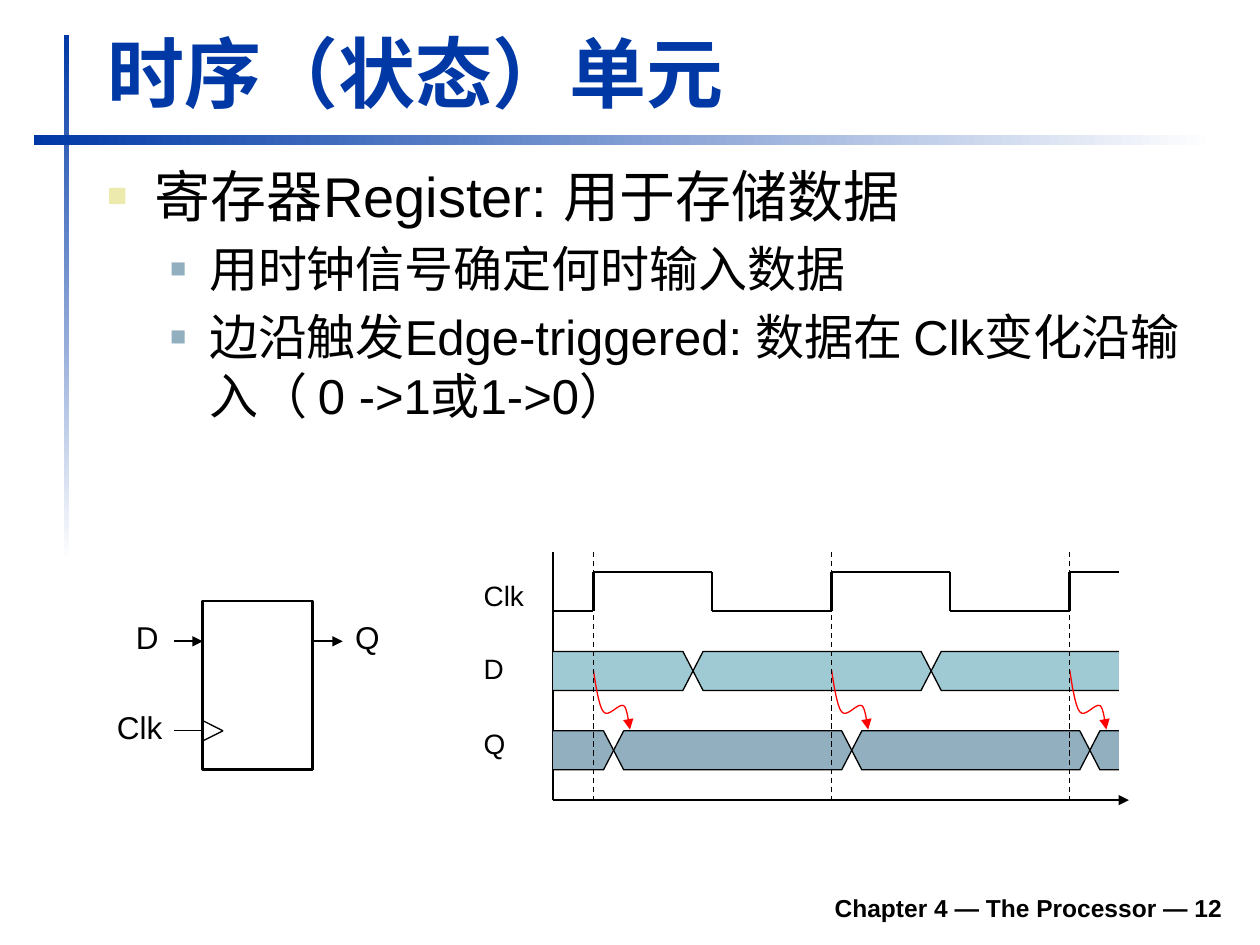
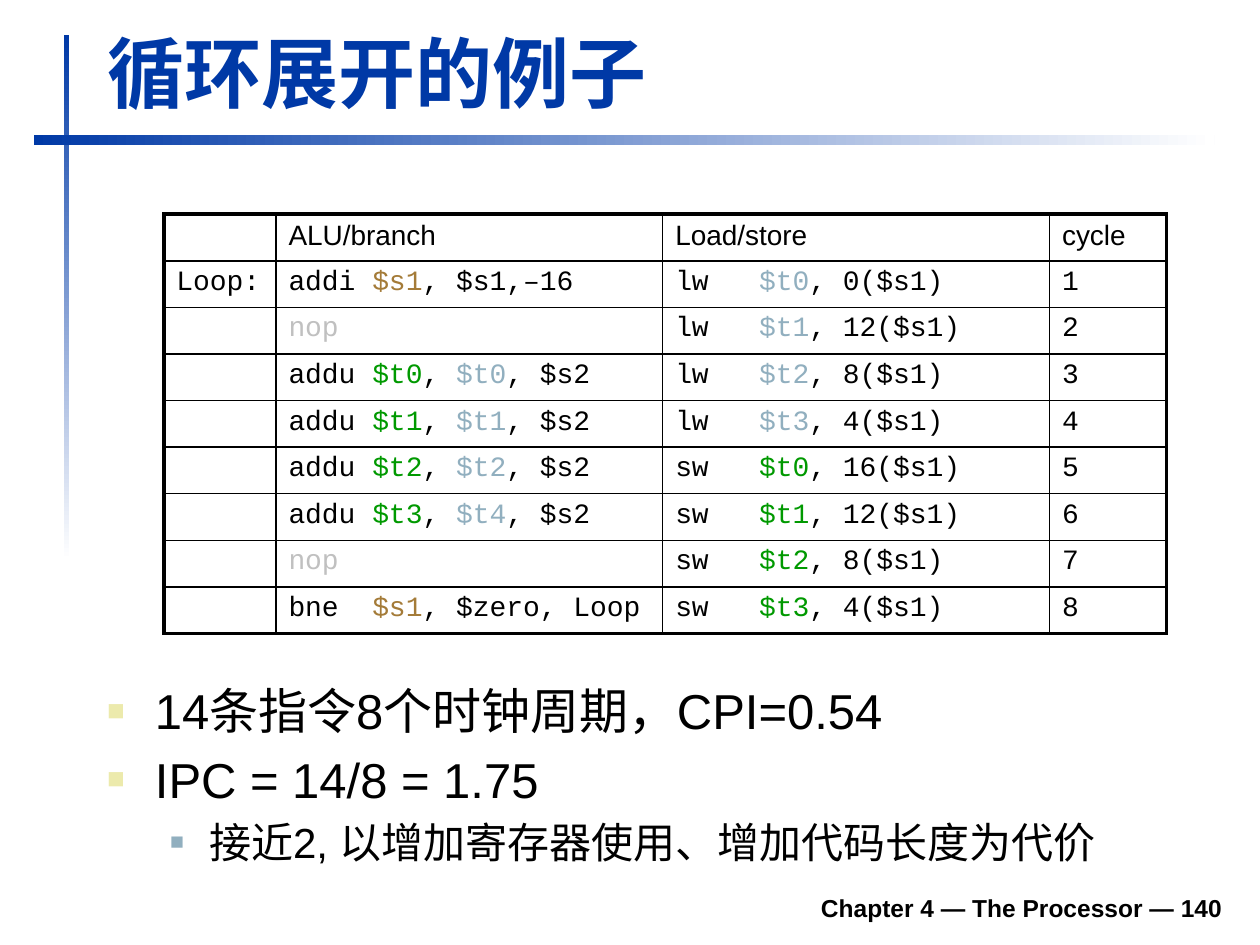
import itertools

import pptx
import pptx.dml.color
import pptx.enum.dml
import pptx.enum.shapes
import pptx.enum.text
import pptx.oxml.ns
import pptx.util
from lxml import etree

Inches = pptx.util.Inches
Pt = pptx.util.Pt
SHAPE = pptx.enum.shapes.MSO_SHAPE
ALIGN = pptx.enum.text.PP_ALIGN
ANCHOR = pptx.enum.text.MSO_ANCHOR

BLUE, WHITE, BLACK = "0039A6", "FFFFFF", "000000"
CREAM, STEEL, AQUA = "ECEAAC", "91AFBF", "9FCAD3"
GREEN, BROWN, GRAY, RED = "009900", "A47B38", "C0C0C0", "FF0000"
SANS, MONO = "Arial", "Courier New"

# Bullet level: left margin, hanging indent, colour, size in percent
LEVELS = [(0.38, 0.38, CREAM, 60), (0.81, 0.31, STEEL, 55)]

# Timing chart: axis ends, clock edges and levels
LEFT, RIGHT, TOP, BASE = 4.39, 8.88, 4.38, 6.35
RISES = [4.71, 6.6, 8.49]
HALF = 0.94
HIGH, LOW = 4.54, 4.85
DEPTH, SLANT = 0.31, 0.08


def rgb(code):
    return pptx.dml.color.RGBColor.from_string(code)


def sub(parent, tag, **attrs):
    """Append a DrawingML child element."""
    item = etree.SubElement(parent, pptx.oxml.ns.qn("a:" + tag))
    for name, value in attrs.items():
        item.set(name, str(value))
    return item


def write(para, text, size=16, color=BLACK, font=SANS, bold=False, align=None):
    """Add a string, or a list of (string, colour) runs, to a paragraph."""
    runs = [(text, color)] if isinstance(text, str) else text
    for words, tint in runs:
        run = para.add_run()
        run.text = words
        run.font.size = Pt(size)
        run.font.name = font
        run.font.bold = bold
        run.font.color.rgb = rgb(tint)
    if align is not None:
        para.alignment = align


def place(shape, x, y, w, h):
    shape.left, shape.top = Inches(x), Inches(y)
    shape.width, shape.height = Inches(w), Inches(h)


def label(shapes, text, x, y, w, h, wrap=False, anchor=ANCHOR.TOP, **style):
    box = shapes.add_textbox(Inches(x), Inches(y), Inches(w), Inches(h))
    frame = box.text_frame
    frame.word_wrap = wrap
    frame.vertical_anchor = anchor
    write(frame.paragraphs[0], text, **style)


def rect(shapes, x, y, w, h):
    box = shapes.add_shape(SHAPE.RECTANGLE, Inches(x), Inches(y), Inches(w), Inches(h))
    box.shadow.inherit = False
    return box


def band(shapes, x, y, w, h, angle):
    bar = rect(shapes, x, y, w, h)
    bar.line.fill.background()
    bar.fill.gradient()
    bar.fill.gradient_angle = angle
    for stop, code in zip(bar.fill.gradient_stops, (BLUE, WHITE)):
        stop.color.rgb = rgb(code)


def stroke(shape, color=BLACK, width=0.75, dash=False, arrow=False):
    line = shape.line
    line.color.rgb = rgb(color)
    line.width = Pt(width)
    if dash:
        line.dash_style = pptx.enum.dml.MSO_LINE.DASH
    if arrow:
        sub(line._get_or_add_ln(), "tailEnd", type="triangle")


def link(shapes, start, end, **style):
    x1, y1, x2, y2 = map(Inches, (*start, *end))
    kind = pptx.enum.shapes.MSO_CONNECTOR.STRAIGHT
    line = shapes.add_connector(kind, x1, y1, x2, y2)
    stroke(line, **style)
    sub(line._element.spPr, "effectLst")


def outline(shapes, points, fill=None, close=False, **style):
    dots = [(Inches(x), Inches(y)) for x, y in points]
    pen = shapes.build_freeform(*dots[0])
    pen.add_line_segments(dots[1:], close=close)
    form = pen.convert_to_shape()
    form.shadow.inherit = False
    if fill:
        form.fill.solid()
        form.fill.fore_color.rgb = rgb(fill)
    else:
        form.fill.background()
    stroke(form, **style)


def bullet(para, level):
    margin, hang, color, size = LEVELS[level]
    para.level = level
    props = para._p.get_or_add_pPr()
    props.set("marL", str(Inches(margin)))
    props.set("indent", str(-Inches(hang)))
    sub(sub(props, "buClr"), "srgbClr", val=color)
    sub(props, "buSzPct", val=size * 1000)
    sub(props, "buFont", typeface=SANS)
    sub(props, "buChar", char="■")


def fit(holder, *area):
    """Place a placeholder and return its text frame with fixed size."""
    place(holder, *area)
    frame = holder.text_frame
    frame.word_wrap = True
    frame.auto_size = pptx.enum.text.MSO_AUTO_SIZE.NONE
    return frame


def page(deck, title, number, items, top, height):
    """Add a slide with bands, footer, title and (level, size, text) items."""
    slide = deck.slides.add_slide(deck.slide_layouts[1])
    shapes = slide.shapes
    band(shapes, 0.51, 0.28, 0.04, 4.17, 270)
    band(shapes, 0.27, 1.07, 9.37, 0.08, 0)
    label(shapes, f"Chapter 4 — The Processor — {number}", 1.85, 6.98, 7.95, 0.39,
          wrap=True, anchor=ANCHOR.BOTTOM, size=14, bold=True, align=ALIGN.RIGHT)

    head = fit(shapes.title, 0.75, 0.16, 9.03, 0.83)
    head.vertical_anchor = ANCHOR.BOTTOM
    write(head.paragraphs[0], title, size=44, color=BLUE, bold=True, align=ALIGN.LEFT)

    body = fit(slide.placeholders[1], 0.75, top, 9.05, height)
    for i, (level, size, text) in enumerate(items):
        para = body.add_paragraph() if i else body.paragraphs[0]
        bullet(para, level)
        para.space_before = Pt(size * 0.2 if i else 0)
        write(para, text, size=size)
    return slide


def latch(shapes):
    """Draw the register symbol with its pins."""
    box = rect(shapes, 1.61, 4.77, 0.87, 1.34)
    box.fill.background()
    stroke(box, width=1.5)
    for x1, x2 in ((1.38, 1.61), (2.48, 2.72)):
        link(shapes, (x1, 5.09), (x2, 5.09), width=1, arrow=True)
    link(shapes, (1.38, 5.8), (1.61, 5.8))
    for y in (5.72, 5.88):
        link(shapes, (1.61, y), (1.77, 5.8))
    for text, x, y, w in (("D", 0.98, 4.86, 0.38), ("Clk", 0.83, 5.57, 0.56),
                          ("Q", 2.72, 4.86, 0.4)):
        label(shapes, text, x, y, w, 0.4, size=18)


def clock(shapes):
    dots = [(LEFT, LOW)]
    for x in RISES:
        dots += [(x, LOW), (x, HIGH)]
        if x != RISES[-1]:
            dots += [(x + HALF, HIGH), (x + HALF, LOW)]
    dots.append((RIGHT, HIGH))
    for start, end in itertools.pairwise(dots):
        link(shapes, start, end, width=1.5)


def lane(shapes, top, turns, fill):
    """Draw a data signal that changes its value at each of the turns."""
    mid, low = top + DEPTH / 2, top + DEPTH
    for start, end in itertools.pairwise([None, *turns, None]):
        x1 = LEFT if start is None else start + SLANT
        x2 = RIGHT if end is None else end - SLANT
        tip = [] if end is None else [(end, mid)]
        tail = [] if start is None else [(start, mid)]
        right = [(x2, top), *tip, (x2, low)]
        left = [(x1, low), *tail, (x1, top)]
        dots = left + right if end is None else right + left
        if start is None:
            dots = [(x1, top), *right, (x1, low)]
        elif end is None:
            dots = [(x2, top), (x1, top), *tail, (x1, low), (x2, low)]
        outline(shapes, dots, fill=fill, close=None not in (start, end))


def curve(nodes, steps=8):
    """Sample a chain of cubic curves given by its nodes."""
    dots = [nodes[0]]
    for k in range(0, len(nodes) - 1, 3):
        for i in range(1, steps + 1):
            t = i / steps
            rates = ((1 - t) ** 3, 3 * t * (1 - t) ** 2, 3 * t * t * (1 - t), t ** 3)
            part = nodes[k:k + 4]
            dots.append(tuple(sum(r * n[a] for r, n in zip(rates, part)) for a in (0, 1)))
    return dots


def timing(shapes):
    clock(shapes)
    link(shapes, (LEFT, BASE), (8.96, BASE), arrow=True)
    link(shapes, (LEFT, BASE), (LEFT, TOP))
    for text, y, w in (("Clk", 4.54, 0.52), ("D", 5.12, 0.36), ("Q", 5.72, 0.38)):
        label(shapes, text, 3.74, y, w, 0.37)
    lane(shapes, 5.17, [5.5, 7.39], AQUA)
    lane(shapes, 5.8, [4.87, 6.76, 8.65], STEEL)
    wave = curve([(0, 5.32), (0.01, 5.38), (0.04, 5.61), (0.08, 5.65), (0.12, 5.7),
                  (0.2, 5.58), (0.24, 5.6), (0.27, 5.62), (0.28, 5.75), (0.29, 5.79)])
    for x in RISES:
        outline(shapes, [(x + dx, y) for dx, y in wave], color=RED, arrow=True)
        link(shapes, (x, TOP), (x, BASE), dash=True)


def edge(cell, sides):
    """Set the left, right, top and bottom border widths of a cell."""
    props = cell._tc.get_or_add_tcPr()
    for i, (side, width) in enumerate(zip("LRTB", sides)):
        line = sub(props, "ln" + side, w=Pt(width))
        sub(sub(line, "solidFill"), "srgbClr", val=BLACK)
        props.insert(i, line)


def grid(shapes, rows, widths, x, y, high):
    count, last = len(rows), len(widths) - 1
    frame = shapes.add_table(count, len(widths), Inches(x), Inches(y),
                             Inches(sum(widths)), Inches(high * count))
    table = frame.table
    table.first_row = table.horz_banding = False
    for column, width in zip(table.columns, widths):
        column.width = Inches(width)
    for r, row in enumerate(rows):
        table.rows[r].height = Inches(high)
        for c, text in enumerate(row):
            cell = table.cell(r, c)
            cell.fill.background()
            edge(cell, (2.25 if c == 0 else 1, 2.25 if c == last else 1,
                        {0: 2.25, 1: 1.5}.get(r, 1),
                        {0: 1.5, count - 1: 2.25}.get(r, 1)))
            para = cell.text_frame.paragraphs[0]
            if text:
                write(para, text, font=MONO if r else SANS)
            else:
                sub(para._p, "endParaRPr", sz=1600)


def code(op, reg, color, rest):
    return [(op.ljust(5), BLACK), (reg, color), (rest, BLACK)]


def addu(to, src):
    return code("addu", to, GREEN, ", ")[:3] + [(src, STEEL), (", $s2", BLACK)]


def main():
    deck = pptx.Presentation()
    deck.slide_width, deck.slide_height = Inches(10), Inches(7.5)

    state = page(deck, "时序（状态）单元", 12, [
        (0, 32, "寄存器Register: 用于存储数据"),
        (1, 28, "用时钟信号确定何时输入数据"),
        (1, 28, "边沿触发Edge-triggered: 数据在 Clk变化沿输入（ 0 ->1或1->0）"),
    ], 1.23, 3.02)
    latch(state.shapes.add_group_shape().shapes)
    timing(state.shapes.add_group_shape().shapes)

    loop = page(deck, "循环展开的例子", 140, [
        (0, 28, "14条指令8个时钟周期，CPI=0.54"),
        (0, 28, "IPC = 14/8 = 1.75"),
        (1, 24, "接近2, 以增加寄存器使用、增加代码长度为代价"),
    ], 5.35, 1.47)
    nop = [("nop", GRAY)]
    alu = [code("addi", "$s1", BROWN, ", $s1,–16"), nop,
           addu("$t0", "$t0"), addu("$t1", "$t1"), addu("$t2", "$t2"),
           addu("$t3", "$t4"), nop, code("bne", "$s1", BROWN, ", $zero, Loop")]
    mem = [code(op, f"$t{i}", color, f", {shift}($s1)")
           for op, color, shifts in (("lw", STEEL, (0, 12, 8, 4)),
                                     ("sw", GREEN, (16, 12, 8, 4)))
           for i, shift in enumerate(shifts)]
    rows = [["", "ALU/branch", "Load/store", "cycle"]]
    for i, (left, right) in enumerate(zip(alu, mem), 1):
        rows.append(["Loop:" if i == 1 else "", left, right, str(i)])
    grid(loop.shapes, rows, [0.89, 3.07, 3.07, 0.93], 1.3, 1.7, 0.37)

    deck.save("out.pptx")


if __name__ == "__main__":
    main()
